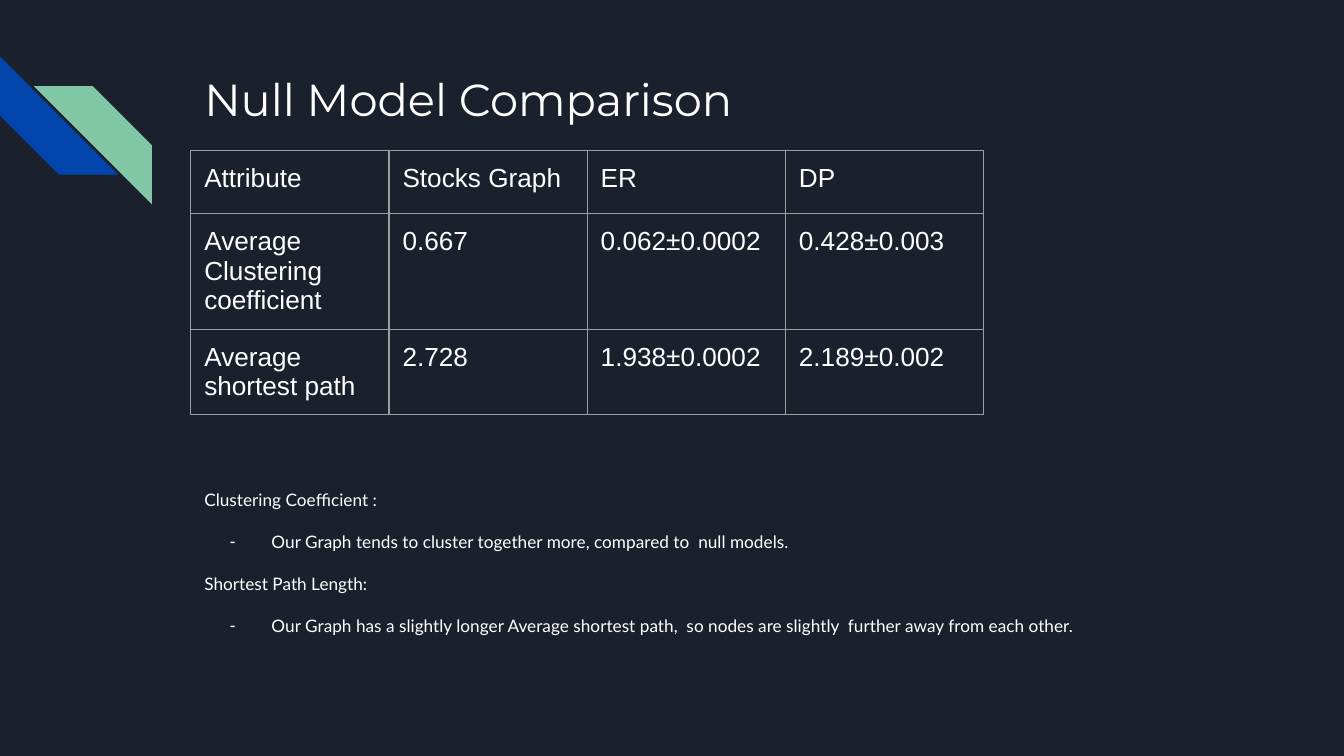
from lxml.etree import SubElement
from pptx import Presentation
from pptx.dml.color import RGBColor
from pptx.enum.shapes import MSO_SHAPE as Shape
from pptx.enum.text import MSO_ANCHOR as Anchor, MSO_AUTO_SIZE as AutoSize, PP_ALIGN as Align
from pptx.oxml.ns import qn
from pptx.util import Inches, Pt


def color(value):
    return RGBColor.from_string(value)


def set_font(paragraph, name, size):
    paragraph.font.name = name
    paragraph.font.size = Pt(size)
    paragraph.font.color.rgb = color("FFFFFF")


# A 16:9 slide
presentation = Presentation()
presentation.slide_width = Inches(10)
presentation.slide_height = Inches(10 * 9 / 16)
slide = presentation.slides.add_slide(presentation.slide_layouts[1])
slide.background.fill.solid()
slide.background.fill.fore_color.rgb = color("1B212C")
title, body = slide.placeholders

# Corner stripes, placed behind the text
stripes = [(0, 0.42, "0145AC", "rot", "16200000"), (0.25, 0.64, "82C7A5", "flipH", "1")]
for position, (left, top, fill, attribute, value) in enumerate(stripes):
    stripe = slide.shapes.add_shape(
        Shape.DIAGONAL_STRIPE, Inches(left), Inches(top), Inches(0.88), Inches(0.88))
    stripe.shadow.inherit = False
    stripe.fill.solid()
    stripe.fill.fore_color.rgb = color(fill)
    stripe.line.fill.background()
    stripe._element.spPr.xfrm.set(attribute, value)
    slide.shapes._spTree.insert(2 + position, stripe._element)

# Title and body frames
for placeholder, top, width, height in [(title, 0.43, 7.7, 1), (body, 3.55, 8.12, 1.71)]:
    placeholder.left, placeholder.top = Inches(1.42), Inches(top)
    placeholder.width, placeholder.height = Inches(width), Inches(height)
    frame = placeholder.text_frame
    frame.word_wrap = True
    frame.auto_size = AutoSize.NONE
    frame.vertical_anchor = Anchor.TOP
    frame.margin_left = frame.margin_right = Inches(0.1)
    frame.margin_top = frame.margin_bottom = Inches(0.1)

title.text_frame.text = "Null Model Comparison"
heading = title.text_frame.paragraphs[0]
heading.alignment = Align.LEFT
set_font(heading, "Montserrat", 24)

# Findings: each heading is followed by a dashed item
findings = [
    ("Clustering Coefficient :", False),
    ("Our Graph tends to cluster together more, compared to  null models.", True),
    ("Shortest Path Length:", False),
    ("Our Graph has a slightly longer Average shortest path,  "
     "so nodes are slightly  further away from each other.", True),
]
body.text_frame.text = "\n".join(text for text, _ in findings)
for index, (paragraph, (_, dashed)) in enumerate(zip(body.text_frame.paragraphs, findings)):
    paragraph.line_spacing = 0.95
    paragraph.space_before = Pt(12 if index else 0)
    set_font(paragraph, "Lato", 9.2)
    properties = paragraph._p.get_or_add_pPr()
    properties.set("marL", str(Inches(0.5 if dashed else 0)))
    properties.set("indent", str(Inches(-0.31 if dashed else 0)))
    bullet = properties.makeelement(qn("a:buChar" if dashed else "a:buNone"))
    if dashed:
        bullet.set("char", "-")
    properties.find(qn("a:defRPr")).addprevious(bullet)

# Comparison table
rows = [
    ("Attribute", "Stocks Graph", "ER", "DP"),
    ("Average Clustering coefficient", "0.667", "0.062±0.0002", "0.428±0.003"),
    ("Average shortest path", "2.728", "1.938±0.0002", "2.189±0.002"),
]
row_heights = [0.47, 0.86, 0.63]
table_width = Inches(5.9)
table = slide.shapes.add_table(
    len(rows), len(rows[0]), Inches(1.42), Inches(1.12),
    table_width, Inches(sum(row_heights))).table
table.first_row = False
table.horz_banding = False
for column in table.columns:
    column.width = table_width // len(rows[0])
for row, height, texts in zip(table.rows, row_heights, rows):
    row.height = Inches(height)
    for cell, text in zip(row.cells, texts):
        cell.text = text
        cell.margin_left = cell.margin_right = Inches(0.1)
        cell.margin_top = cell.margin_bottom = Inches(0.1)
        set_font(cell.text_frame.paragraphs[0], "Arial", 14)
        cell_properties = cell._tc.get_or_add_tcPr()
        for side in ("lnL", "lnR", "lnT", "lnB"):
            border = SubElement(cell_properties, qn(f"a:{side}"), w=str(Pt(0.75)))
            fill = SubElement(border, qn("a:solidFill"))
            SubElement(fill, qn("a:srgbClr"), val="9E9E9E")
        cell.fill.background()

presentation.save("out.pptx")
